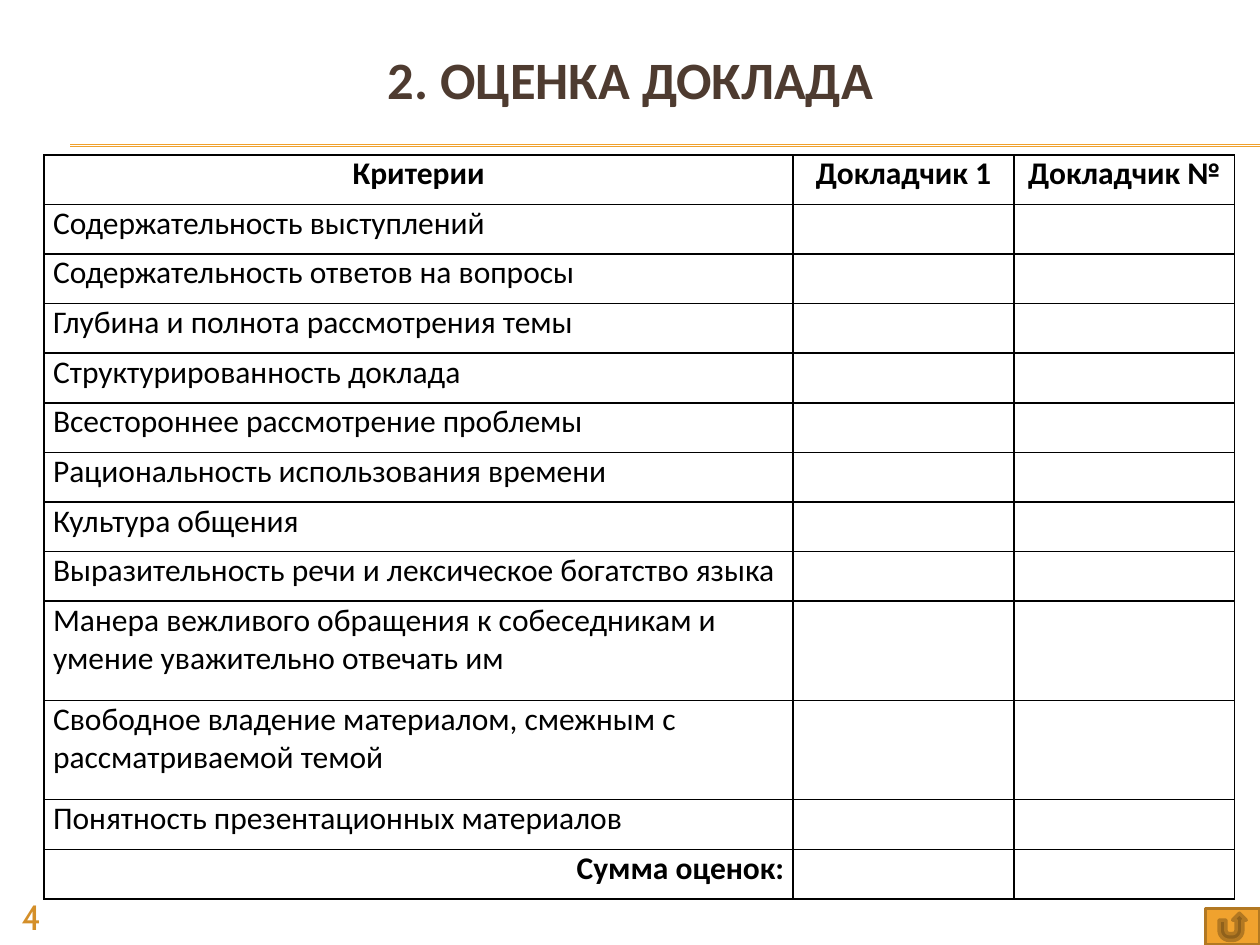
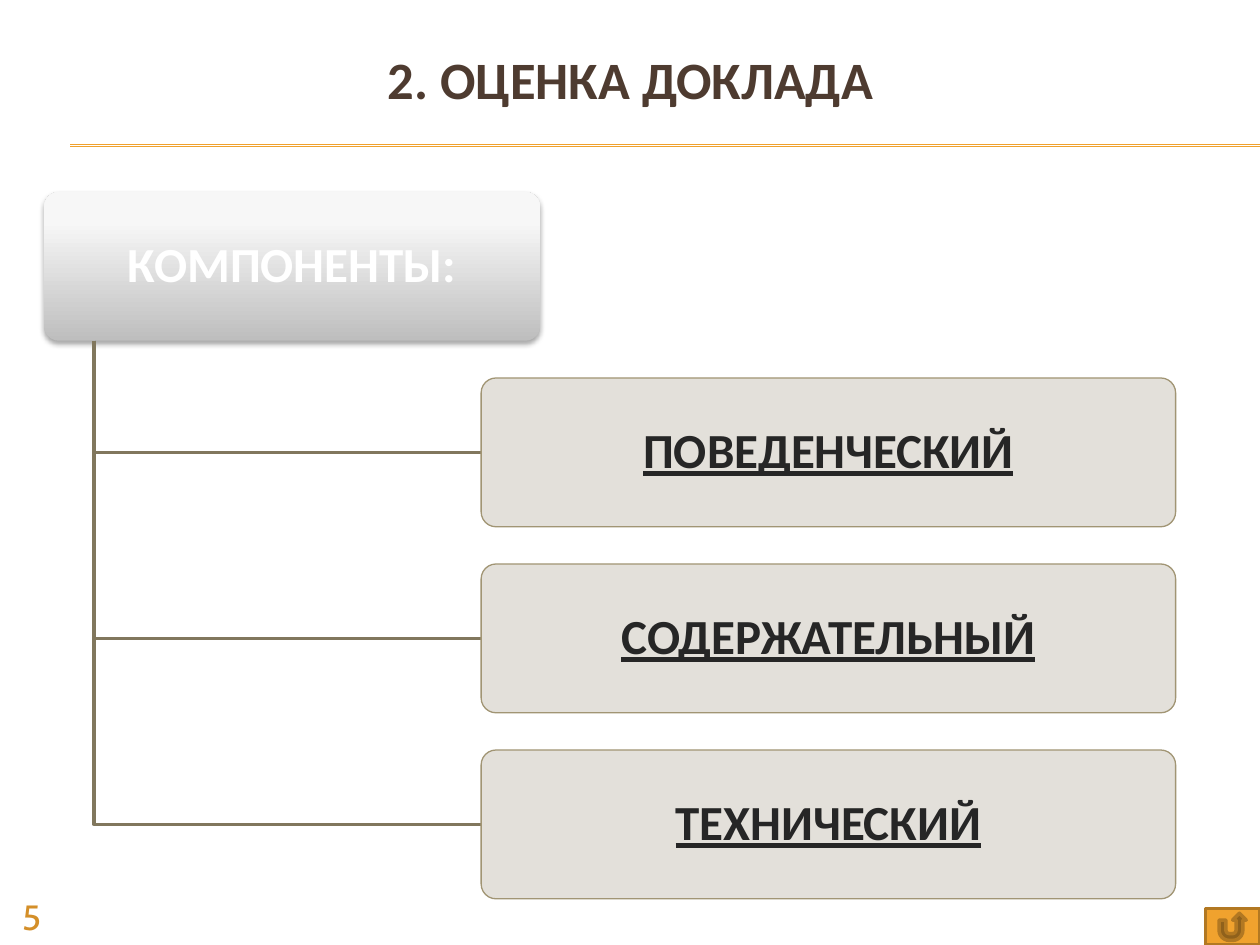
import pptx
import pptx.util
import pptx.dml.color
import pptx.enum.shapes
import pptx.enum.text
import pptx.oxml
import pptx.oxml.ns

Cm, Pt = pptx.util.Cm, pptx.util.Pt
MSO = pptx.enum.shapes.MSO_SHAPE
ALIGN = pptx.enum.text.PP_ALIGN
MIDDLE = pptx.enum.text.MSO_ANCHOR.MIDDLE

ORANGE, DARK_ORANGE, BROWN = "F0A22E", "B27822", "4E3B30"
FONT = "Calibri"


def rgb(value):
    return pptx.dml.color.RGBColor.from_string(value)


def xml(tag, attrs="", body=""):
    ns = pptx.oxml.ns.nsdecls("a")
    return pptx.oxml.parse_xml(f"<a:{tag} {ns} {attrs}>{body}</a:{tag}>")


prs = pptx.Presentation()
prs.slide_width, prs.slide_height = Cm(25.4), Cm(19.05)

# Shared parts: title, double rule, page number, return button
slides = []
for number in (4, 5):
    s = prs.slides.add_slide(prs.slide_layouts[5])
    slides.append(s)

    for y in (2.92, 2.95):
        rule = s.shapes.add_connector(
            pptx.enum.shapes.MSO_CONNECTOR.STRAIGHT, Cm(1.42), Cm(y), Cm(25.4), Cm(y))
        rule.line.color.rgb = rgb(ORANGE)
        rule.line.width = Pt(0.75)
        rule._element.spPr.append(xml("effectLst"))

    title = s.shapes.title
    title.left, title.top, title.width, title.height = Cm(0.7), Cm(0.8), Cm(24.03), Cm(1.55)
    tf = title.text_frame
    tf.text = "2. ОЦЕНКА ДОКЛАДА"
    tf.vertical_anchor = MIDDLE
    p = tf.paragraphs[0]
    p.alignment = ALIGN.CENTER
    p.font.name, p.font.size, p.font.bold = FONT, Pt(30), True
    p.font.color.rgb = rgb(BROWN)

    tf = s.shapes.add_textbox(Cm(0), Cm(17.93), Cm(1.08), Cm(1.12)).text_frame
    tf.word_wrap = True
    p = tf.paragraphs[0]
    p.text = str(number)
    p.alignment = ALIGN.RIGHT
    p.font.name, p.font.size = "Cabin", Pt(20)
    p.font.color.rgb = rgb("D48F29")

    button = s.shapes.add_shape(
        MSO.ACTION_BUTTON_RETURN, Cm(24.3), Cm(18.32), Cm(1.1), Cm(0.73))
    button.shadow.inherit = False
    button.fill.solid()
    button.fill.fore_color.rgb = rgb(ORANGE)
    button.line.color.rgb = rgb(DARK_ORANGE)
    button.line.width = Pt(2)

# Slide 1: table of criteria
criteria = [
    "Содержательность выступлений",
    "Содержательность ответов на вопросы",
    "Глубина и полнота рассмотрения темы",
    "Структурированность доклада",
    "Всестороннее рассмотрение проблемы",
    "Рациональность использования времени",
    "Культура общения",
    "Выразительность речи и лексическое богатство языка",
    "Манера вежливого обращения к собеседникам и умение уважительно отвечать им",
    "Свободное владение материалом, смежным с рассматриваемой темой",
    "Понятность презентационных материалов",
]
rows = [["Критерии", "Докладчик 1", "Докладчик №"]]
rows += [[text, "", ""] for text in criteria]
rows += [["Сумма оценок:", "", ""]]
last = len(rows) - 1
two_line_rows = (9, 10)

table = slides[0].shapes.add_table(
    len(rows), 3, Cm(0.89), Cm(3.12), Cm(24), Cm(15)).table
table.first_row = table.horz_banding = False
for column, width in zip(table.columns, (15.1, 4.45, 4.45)):
    column.width = Cm(width)

for i, row in enumerate(rows):
    table.rows[i].height = Cm(2 if i in two_line_rows else 1)
    for j, text in enumerate(row):
        cell = table.cell(i, j)
        cell.margin_left = cell.margin_right = Cm(0.18)
        cell.margin_top = cell.margin_bottom = 0
        p = cell.text_frame.paragraphs[0]
        p.text = text
        p.alignment = {0: ALIGN.CENTER, last: ALIGN.RIGHT}.get(i, ALIGN.LEFT)
        p.font.name, p.font.size, p.font.bold = FONT, Pt(18), i in (0, last)
        p.font.color.rgb = rgb("000000")
        for side in ("lnL", "lnR", "lnT", "lnB"):
            cell._tc.get_or_add_tcPr().append(xml(
                side, f'w="{Pt(1)}"',
                '<a:solidFill><a:srgbClr val="000000"/></a:solidFill>'))
        cell.fill.background()

# Slide 2: hierarchy of components
s = slides[1]
top, pitch, height = 3.87, 3.75, 3
trunk_x, child_x = 1.9, 9.7
labels = ["КОМПОНЕНТЫ:", "ПОВЕДЕНЧЕСКИЙ", "СОДЕРЖАТЕЛЬНЫЙ", "ТЕХНИЧЕСКИЙ"]

for i, label in enumerate(labels):
    is_root = i == 0
    y = top + pitch * i

    # Elbow from the root box down to the child box
    if not is_root:
        middle = Cm(y + height / 2)
        builder = s.shapes.build_freeform(Cm(trunk_x), Cm(top + height))
        builder.add_line_segments(
            [(Cm(trunk_x), middle), (Cm(child_x), middle)], close=False)
        elbow = builder.convert_to_shape()
        elbow.shadow.inherit = False
        elbow.fill.background()
        elbow.line.color.rgb = rgb("81775D")
        elbow.line.width = Pt(2)

    box = s.shapes.add_shape(
        MSO.ROUNDED_RECTANGLE, Cm(0.89 if is_root else child_x), Cm(y),
        Cm(10 if is_root else 14), Cm(height))
    box.adjustments[0] = 0.1
    box.shadow.inherit = False
    if is_root:
        box.line.fill.background()
        stops = "".join(
            f'<a:gs pos="{pos}000"><a:srgbClr val="{color}"/></a:gs>'
            for pos, color in ((0, "BEBEBE"), (80, "F7F7F7"), (100, "F8F8F8")))
        spPr = box._element.spPr
        spPr.insert(2, xml("gradFill", 'rotWithShape="1"',
                           f'<a:gsLst>{stops}</a:gsLst><a:lin ang="16200000" scaled="0"/>'))
        spPr.find(pptx.oxml.ns.qn("a:effectLst")).append(xml(
            "outerShdw", f'blurRad="{Pt(3.1)}" dist="{Pt(1.8)}" dir="5400000" rotWithShape="0"',
            '<a:srgbClr val="000000"><a:alpha val="35000"/></a:srgbClr>'))
    else:
        box.fill.solid()
        box.fill.fore_color.rgb = rgb("E0DDD6")
        color = box._element.spPr.find(".//" + pptx.oxml.ns.qn("a:srgbClr"))
        color.append(xml("alpha", 'val="90000"'))
        box.line.color.rgb = rgb("A19574")
        box.line.width = Pt(0.75)

    tf = box.text_frame
    tf.word_wrap = True
    tf.vertical_anchor = MIDDLE
    tf.margin_left = tf.margin_right = Cm(0.15)
    tf.margin_top = tf.margin_bottom = Cm(0.1)
    p = tf.paragraphs[0]
    p.text = label
    p.alignment = ALIGN.CENTER
    p.line_spacing = 0.9
    p.font.name, p.font.size, p.font.bold = FONT, Pt(28), True
    p.font.underline = not is_root
    p.font.color.rgb = rgb("FFFFFF" if is_root else "262626")

prs.save("out.pptx")
